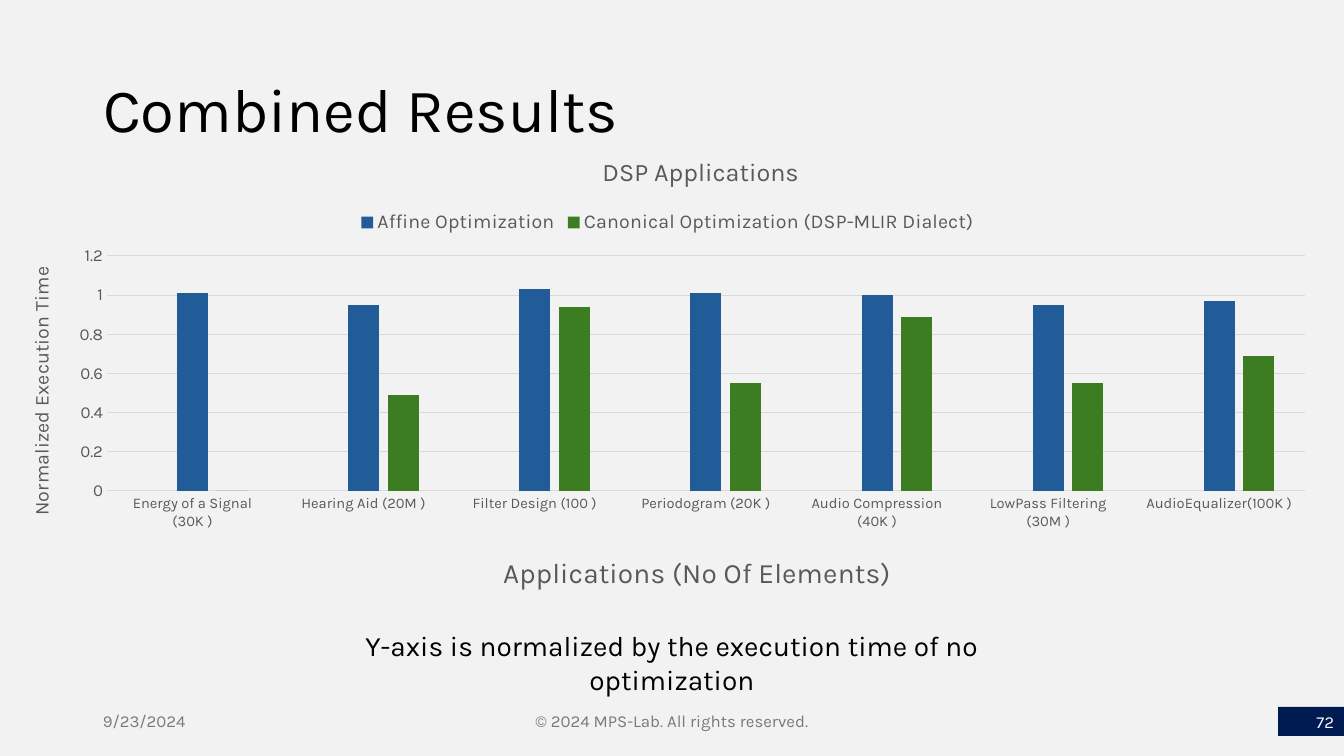
from typing import NamedTuple

from lxml import etree
from pptx import Presentation
from pptx import util as u
from pptx.chart.data import CategoryChartData
from pptx.dml.color import RGBColor
from pptx.enum import chart as charts, shapes, text

EMU_PER_PX = 12192000 / 1344
FONT = "Karla"
GREY, GRID = "595959", "D9D9D9"
CHART_BOX = (0, 139, 1332, 469)
CHART_NS = "http://schemas.openxmlformats.org/drawingml/2006/chart"

APPLICATIONS = [
    "Energy of a Signal (30K )", "Hearing Aid (20M )", "Filter Design (100 )",
    "Periodogram (20K )", "Audio Compression (40K )",
    "LowPass Filtering (30M )", "AudioEqualizer(100K )",
]


class Optimization(NamedTuple):
    name: str
    color: str
    times: list


class Label(NamedTuple):
    words: str
    box: tuple
    size: int
    color: str
    align: text.PP_ALIGN = text.PP_ALIGN.CENTER
    anchor: text.MSO_ANCHOR = text.MSO_ANCHOR.MIDDLE
    fill: str = ""


OPTIMIZATIONS = [
    Optimization("Series 1", "E97132", [None] * len(APPLICATIONS)),
    Optimization("Affine Optimization", "215C98",
                 [1.01, 0.95, 1.03, 1.01, 1, 0.95, 0.97]),
    Optimization("Canonical Optimization (DSP-MLIR Dialect)", "3C7D22",
                 [0, 0.49, 0.94, 0.55, 0.89, 0.55, 0.69]),
]

LABELS = [
    Label("9/23/2024", (93, 701, 302, 40), 12, "797979", text.PP_ALIGN.LEFT),
    Label("© 2024 MPS-Lab. All rights reserved.", (445, 701, 454, 40), 12, "797979"),
    Label("72", (1278, 707, 66, 29), 12, "FFFFFF", text.PP_ALIGN.RIGHT, fill="001A52"),
    Label("Y-axis is normalized by the execution time of no optimization",
          (290, 624, 764, 44), 20, "000000", anchor=text.MSO_ANCHOR.TOP),
]


def px(length: float) -> u.Emu:
    return u.Emu(round(length * EMU_PER_PX))


def rgb(color: str) -> RGBColor:
    return RGBColor.from_string(color)


def style_font(font, size: float, color: str) -> None:
    for name, value in {"name": FONT, "size": u.Pt(size), "bold": False}.items():
        setattr(font, name, value)
    font.color.rgb = rgb(color)


def paint(fill, color: str) -> None:
    fill.solid()
    fill.fore_color.rgb = rgb(color)


def write(frame, label: Label) -> None:
    frame.word_wrap = True
    frame.vertical_anchor = label.anchor
    frame.text = label.words
    paragraph = frame.paragraphs[0]
    paragraph.alignment = label.align
    style_font(paragraph.runs[0].font, label.size, label.color)


def add_label(slide, label: Label) -> None:
    box = [px(side) for side in label.box]
    if label.fill:
        shape = slide.shapes.add_shape(shapes.MSO_SHAPE.RECTANGLE, *box)
        shape.shadow.inherit = False
        paint(shape.fill, label.fill)
        shape.line.fill.background()
    else:
        shape = slide.shapes.add_textbox(*box)
    write(shape.text_frame, label)


def add_title(slide, label: Label) -> None:
    title = slide.shapes.title
    for side, length in zip(("left", "top", "width", "height"), label.box):
        setattr(title, side, px(length))
    write(title.text_frame, label)
    title.text_frame.paragraphs[0].line_spacing = 0.9


def place(parent, index: int, left: int, top: int, *size: int) -> None:
    """Fix a chart part at slide px; a size marks the inner plot area."""
    for old in parent.xpath("c:layout"):
        parent.remove(old)
    layout = etree.Element(f"{{{CHART_NS}}}layout")
    manual = etree.SubElement(layout, f"{{{CHART_NS}}}manualLayout")
    x, y, width, height = CHART_BOX
    values = {"xMode": "edge", "yMode": "edge",
              "x": (left - x) / width, "y": (top - y) / height}
    if size:
        values = {"layoutTarget": "inner", **values,
                  "w": size[0] / width, "h": size[1] / height}
    for tag, value in values.items():
        etree.SubElement(manual, f"{{{CHART_NS}}}{tag}", val=str(value))
    parent.insert(index, layout)


def add_heading(owner, words: str, size: int, left: int, top: int) -> None:
    """Title a chart or an axis."""
    owner.has_title = True
    heading = owner.chart_title if hasattr(owner, "chart_title") else owner.axis_title
    heading.text_frame.text = words
    style_font(heading.text_frame.paragraphs[0].runs[0].font, size, GREY)
    place(heading.text_frame._txBody.xpath("ancestor::c:title")[0], 1, left, top)


def style_axes(chart) -> None:
    applications, time = chart.category_axis, chart.value_axis
    for axis, size in ((applications, 10.5), (time, 12)):
        axis.major_tick_mark = axis.minor_tick_mark = charts.XL_TICK_MARK.NONE
        style_font(axis.tick_labels.font, size, GREY)
    for name, value in {"minimum_scale": 0, "maximum_scale": 1.2, "major_unit": 0.2}.items():
        setattr(time, name, value)
    time.format.line.fill.background()
    for line in (applications.format.line, time.major_gridlines.format.line):
        line.color.rgb = rgb(GRID)
        line.width = u.Pt(0.75)
    add_heading(applications, "Applications (No Of Elements)", 20, 498, 549)
    add_heading(time, "Normalized Execution Time", 14, 25, 263)
    body = time.axis_title.text_frame._txBody.xpath("a:bodyPr")[0]
    body.set("rot", "-5400000")
    body.set("vert", "horz")


def style_legend(chart) -> None:
    """Show the legend on top, without the empty first series."""
    chart.has_legend = True
    chart.legend.position = charts.XL_LEGEND_POSITION.TOP
    chart.legend.include_in_layout = False
    style_font(chart.legend.font, 14, GREY)
    legend = chart.element.xpath("c:chart/c:legend")[0]
    entry = etree.Element(f"{{{CHART_NS}}}legendEntry")
    for tag, value in (("idx", "0"), ("delete", "1")):
        etree.SubElement(entry, f"{{{CHART_NS}}}{tag}", val=value)
    legend.insert(1, entry)
    place(legend, 2, 355, 207)


def add_results_chart(slide) -> None:
    data = CategoryChartData()
    data.categories = APPLICATIONS
    for optimization in OPTIMIZATIONS:
        data.add_series(optimization.name, optimization.times)
    chart = slide.shapes.add_chart(
        charts.XL_CHART_TYPE.COLUMN_CLUSTERED, *map(px, CHART_BOX), data).chart
    style_font(chart.font, 10, "000000")
    plot = chart.plots[0]
    for name, value in {"gap_width": 197, "overlap": -27, "vary_by_categories": False}.items():
        setattr(plot, name, value)
    for series, optimization in zip(plot.series, OPTIMIZATIONS):
        paint(series.format.fill, optimization.color)
    add_heading(chart, "DSP Applications", 18, 598, 151)
    style_axes(chart)
    style_legend(chart)
    place(chart.element.xpath("c:chart/c:plotArea")[0], 0, 107, 256, 1198, 235)


def main() -> None:
    deck = Presentation()
    deck.slide_width, deck.slide_height = px(1344), px(756)
    slide = deck.slides.add_slide(deck.slide_layouts[5])
    paint(slide.background.fill, "F2F2F2")
    add_title(slide, Label("Combined Results", (93, 40, 1159, 146), 44, "000000",
                           text.PP_ALIGN.LEFT))
    for label in LABELS:
        add_label(slide, label)
    add_results_chart(slide)
    deck.save("out.pptx")


if __name__ == "__main__":
    main()
